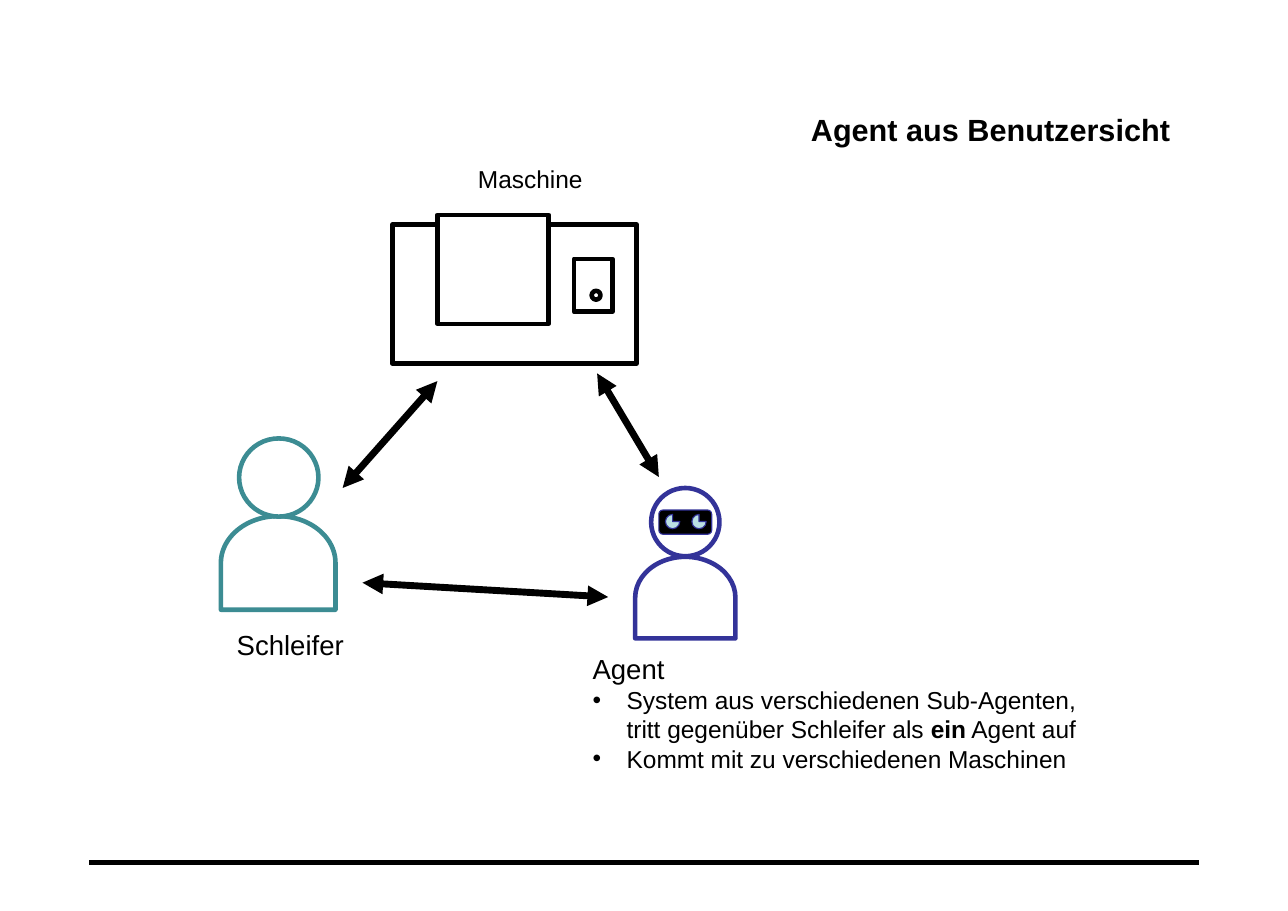
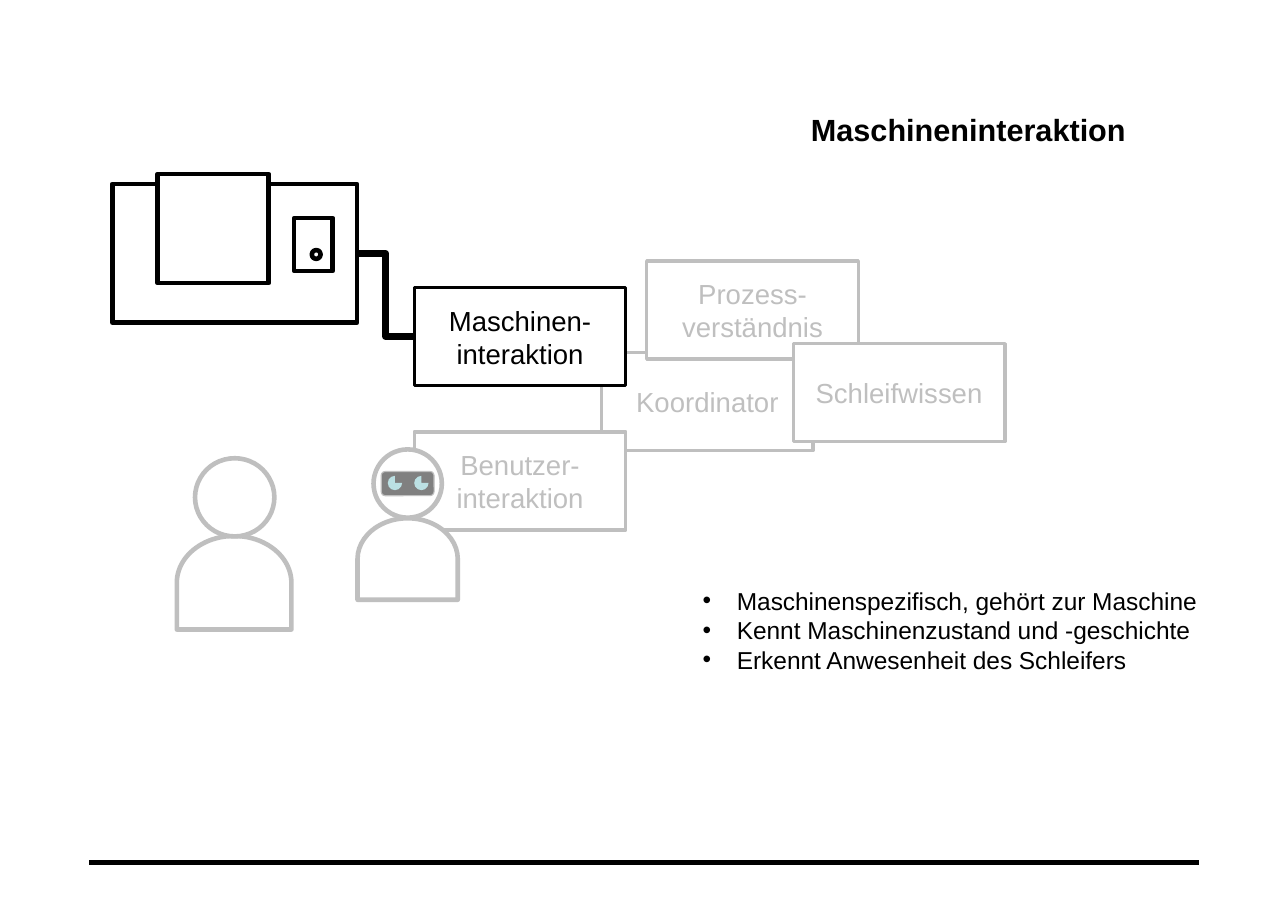
import pptx
import pptx.util
import pptx.dml.color
import pptx.enum.shapes
import pptx.enum.text
import pptx.oxml
import pptx.oxml.ns

SHAPE = pptx.enum.shapes.MSO_SHAPE
CONNECTOR = pptx.enum.shapes.MSO_CONNECTOR
ALIGN = pptx.enum.text.PP_ALIGN
PX = 9144  # EMU per px, 100 px to the inch

# Shared look
FONT = "Arial"
BLACK, WHITE, MUTED = "000000", "FFFFFF", "BFBFBF"
TEAL, INDIGO, EYE, DIM = "3C8C93", "333399", "BBE0E3", "808080"
TITLE_AREA = (736, 101, 352, 50)
FOOTER = ((81, 783), (1088, 783))

# Figures: outlines relative to the figure's origin
MACHINE_PARTS = [
    (SHAPE.RECTANGLE, (0, 0, 222, 126)),
    (SHAPE.RECTANGLE, (41, -9, 101, 99)),
    (SHAPE.RECTANGLE, (165, 31, 35, 48)),
    (SHAPE.OVAL, (181, 60, 8, 8)),
]
WORKER_BODY, WORKER_HEAD = (-7, 61, 85, 104), (0, 0, 72, 71)
AGENT_BODY, AGENT_HEAD = (-6, 54, 74, 91), (0, 0, 62, 62)
VISOR = (7, 20, 48, 22)
EYES = [(37, 24, 13, 13), (13, 24, 13, 13)]

# Slide 1: a paragraph is (size, bullet, parts); every second part is bold
OVERVIEW_TITLE = "Agent aus Benutzersicht"
ARROWS = [
    ((397, 346), (311, 443)),
    ((552, 542), (329, 529)),
    ((542, 339), (598, 433)),
]
OVERVIEW_TEXTS = [
    ((424, 144, 167, 37), [(16, False, ["Maschine"])]),
    ((205, 565, 167, 40), [(18, False, ["Schleifer"])]),
    ((528, 587, 461, 121), [
        (18, False, ["Agent"]),
        (16, True, ["System aus verschiedenen Sub-Agenten, tritt gegenüber "
                    "Schleifer als ", "ein", " Agent auf"]),
        (16, True, ["Kommt mit zu verschiedenen Maschinen"]),
    ]),
]

# Slide 2
INTERACTION_TITLE = "Maschineninteraktion"
MODULE_SIZE = (192, 89)
MUTED_MODULES = [
    ("Koordinator", 546, 320),
    ("Benutzer-interaktion", 376, 392),
    ("Prozess-verständnis", 587, 237),
    ("Schleifwissen", 720, 312),
]
ACTIVE_MODULE = ("Maschinen-interaktion", 376, 261)
INTERACTION_TEXT = ((628, 527, 476, 91), [
    (16, True, [line]) for line in (
        "Maschinenspezifisch, gehört zur Maschine",
        "Kennt Maschinenzustand und -geschichte",
        "Erkennt Anwesenheit des Schleifers",
    )
])


def emu(lengths):
    return [round(v * PX) for v in lengths]


def rgb(value):
    return pptx.dml.color.RGBColor.from_string(value)


def style_run(r, size, color=BLACK, bold=False):
    r.font.name, r.font.size, r.font.bold = FONT, pptx.util.Pt(size), bold
    r.font.color.rgb = rgb(color)


def add_shape(parent, kind, area, fill=WHITE, line=BLACK, width=3, origin=(0, 0)):
    x, y, w, h = area
    sp = parent.shapes.add_shape(kind, *emu((x + origin[0], y + origin[1], w, h)))
    sp.shadow.inherit = False
    sp.fill.solid()
    sp.fill.fore_color.rgb = rgb(fill)
    if line:
        sp.line.color.rgb = rgb(line)
        sp.line.width = pptx.util.Pt(width)
    else:
        sp.line.fill.background()
    return sp


def add_line(s, start, end, width, kind=CONNECTOR.STRAIGHT, arrows=False):
    cx = s.shapes.add_connector(kind, *emu(start + end))
    cx.line.color.rgb = rgb(BLACK)
    cx.line.width = pptx.util.Pt(width)
    if arrows:
        ln = cx.line.fill._xPr
        for tag in ("a:headEnd", "a:tailEnd"):
            ln.append(pptx.oxml.parse_xml(
                f'<{tag} {pptx.oxml.ns.nsdecls("a")} type="triangle"/>'))
    cx._element.spPr.append(pptx.oxml.parse_xml(
        f'<a:effectLst {pptx.oxml.ns.nsdecls("a")}/>'))
    return cx


def add_bullet(p):
    pPr = p._p.get_or_add_pPr()
    indent = 31 * PX
    pPr.set("marL", str(indent))
    pPr.set("indent", str(-indent))
    for xml in ('a:buFont {} typeface="Arial"', 'a:buChar {} char="•"'):
        pPr.append(pptx.oxml.parse_xml(
            "<" + xml.format(pptx.oxml.ns.nsdecls("a")) + "/>"))


def add_text(s, area, paragraphs):
    tf = s.shapes.add_textbox(*emu(area)).text_frame
    tf.word_wrap = True
    tf.auto_size = pptx.enum.text.MSO_AUTO_SIZE.SHAPE_TO_FIT_TEXT
    for i, (size, bullet, parts) in enumerate(paragraphs):
        p = tf.add_paragraph() if i else tf.paragraphs[0]
        if bullet:
            add_bullet(p)
        for j, part in enumerate(parts):
            r = p.add_run()
            r.text = part
            style_run(r, size, bold=j % 2 == 1)


def add_base(prs, title):
    s = prs.slides.add_slide(prs.slide_layouts[6])
    add_line(s, *FOOTER, 3)
    tf = s.shapes.add_textbox(*emu(TITLE_AREA)).text_frame
    tf.word_wrap = True
    tf.margin_left = tf.margin_top = tf.margin_right = tf.margin_bottom = 0
    tf.text = title
    style_run(tf.paragraphs[0].runs[0], 20, bold=True)
    return s


def add_machine(s, origin):
    """Return the housing, so that connectors can be joined to it."""
    group = s.shapes.add_group_shape()
    parts = [add_shape(group, kind, area, origin=origin)
             for kind, area in MACHINE_PARTS]
    return parts[0]


def add_person(s, origin, body, head, color):
    group = s.shapes.add_group_shape()
    torso = add_shape(group, SHAPE.FLOWCHART_DELAY, body, line=color, origin=origin)
    torso.rotation = 270
    add_shape(group, SHAPE.FLOWCHART_CONNECTOR, head, line=color, origin=origin)
    return group


def add_agent(s, origin, color, visor, eye_line):
    group = add_person(s, origin, AGENT_BODY, AGENT_HEAD, color)
    add_shape(group, SHAPE.ROUNDED_RECTANGLE, VISOR, visor, color, 0.75, origin)
    for eye in EYES:
        add_shape(group, SHAPE.PIE, eye, EYE, eye_line, 0.75, origin)


def add_module(s, label, x, y, color):
    sp = add_shape(s, SHAPE.RECTANGLE, (x, y) + MODULE_SIZE, line=color, width=2.25)
    sp.text_frame.text = label
    p = sp.text_frame.paragraphs[0]
    p.alignment = ALIGN.CENTER
    style_run(p.runs[0], 18, color)
    return sp


def build_overview(prs):
    s = add_base(prs, OVERVIEW_TITLE)
    add_machine(s, (356, 204))
    add_person(s, (217, 398), WORKER_BODY, WORKER_HEAD, TEAL)
    add_agent(s, (591, 443), INDIGO, BLACK, INDIGO)
    for start, end in ARROWS:
        add_line(s, start, end, 4.5, arrows=True)
    for area, paragraphs in OVERVIEW_TEXTS:
        add_text(s, area, paragraphs)


def build_interaction(prs):
    s = add_base(prs, INTERACTION_TITLE)
    housing = add_machine(s, (102, 167))
    add_person(s, (177, 416), WORKER_BODY, WORKER_HEAD, MUTED)
    for module in MUTED_MODULES:
        add_module(s, *module, MUTED)
    add_agent(s, (339, 408), MUTED, DIM, None)
    active = add_module(s, *ACTIVE_MODULE, BLACK)
    link = add_line(s, (324, 230), (376, 305), 4.5, CONNECTOR.ELBOW)
    link.begin_connect(housing, 3)
    link.end_connect(active, 1)
    add_text(s, *INTERACTION_TEXT)


def main():
    prs = pptx.Presentation()
    prs.slide_width, prs.slide_height = emu((1169, 827))
    build_overview(prs)
    build_interaction(prs)
    prs.save("out.pptx")


if __name__ == "__main__":
    main()
